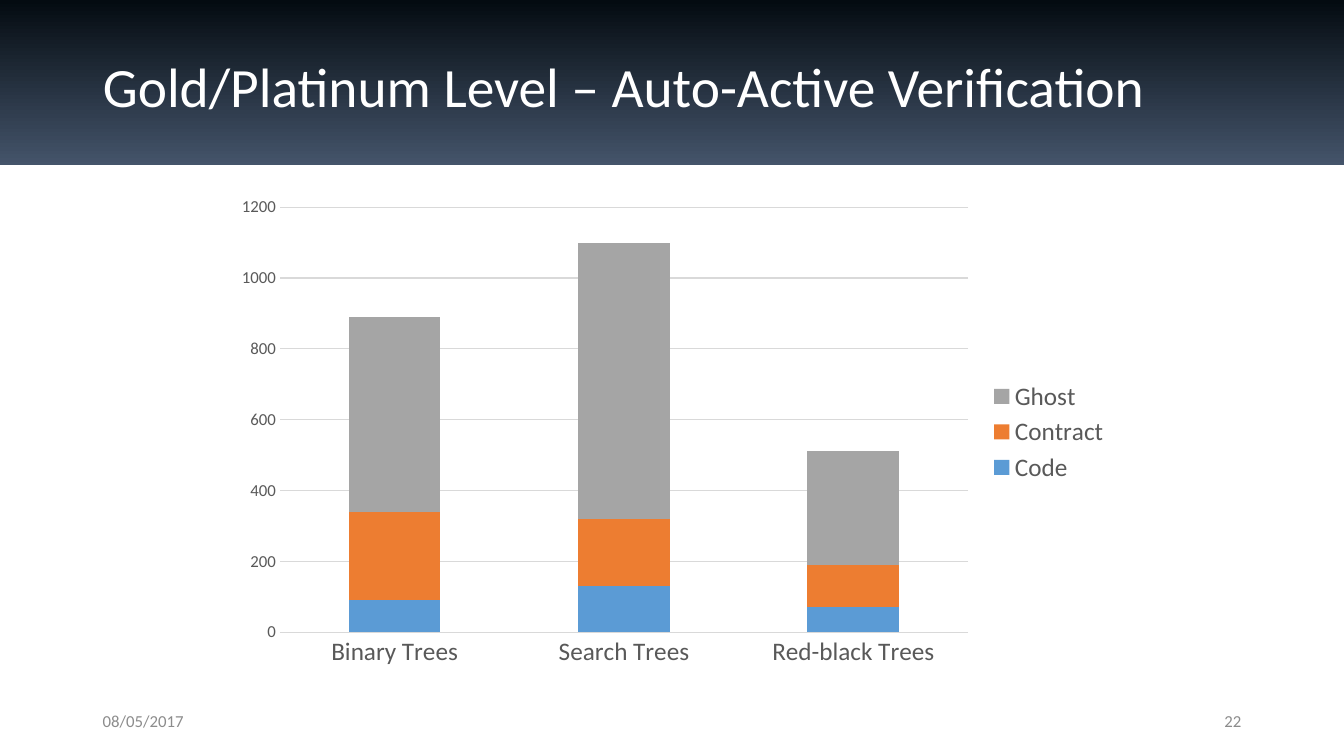
"""Build the slide on code, contract and ghost sizes in auto-active verification."""
from lxml import etree
from pptx import Presentation
from pptx.chart.data import CategoryChartData
from pptx.dml.color import RGBColor
from pptx.enum.chart import XL_CHART_TYPE as ChartType, XL_LEGEND_POSITION as LegendPos
from pptx.enum.chart import XL_TICK_MARK as TickMark
from pptx.enum.shapes import MSO_SHAPE as Shape
from pptx.enum.text import MSO_ANCHOR as Anchor, MSO_AUTO_SIZE as AutoSize, PP_ALIGN as Align
from pptx.util import Inches, Pt

FONT = "Calibri"
WHITE = RGBColor(0xFF, 0xFF, 0xFF)
NIGHT = RGBColor(0x04, 0x0B, 0x11)
SLATE = RGBColor(0x44, 0x54, 0x6A)
FOOTER_GREY = RGBColor(0x8C, 0x8C, 0x8C)
LABEL_GREY = RGBColor(0x59, 0x59, 0x59)
GRID_GREY = RGBColor(0xD9, 0xD9, 0xD9)
BLUE = RGBColor(0x5B, 0x9B, 0xD5)
ORANGE = RGBColor(0xED, 0x7D, 0x31)
GREY = RGBColor(0xA5, 0xA5, 0xA5)

TITLE = "Gold/Platinum Level – Auto-Active Verification"
DATE, PAGE = "08/05/2017", "22"
TREES = ["Binary Trees", "Search Trees", "Red-black Trees"]
LINES = [
    ("Code", BLUE, [90, 130, 70]),
    ("Contract", ORANGE, [250, 190, 120]),
    ("Ghost", GREY, [550, 780, 320]),
]

WIDTH, HEIGHT = Inches(13.33), Inches(7.5)
MARGIN = Inches(0.92)
CONTENT_WIDTH = WIDTH - 2 * MARGIN
BAND_HEIGHT = Inches(1.64)
FOOTER_TOP, FOOTER_WIDTH, FOOTER_HEIGHT = Inches(6.95), Inches(3), Inches(0.4)
CHART_TOP, CHART_WIDTH, CHART_HEIGHT = Inches(1.86), WIDTH * 2 // 3, Inches(4.85)


def style(font, size, color):
    font.name, font.size, font.bold = FONT, Pt(size), False
    font.color.rgb = color


def draw_line(line):
    line.color.rgb, line.width = GRID_GREY, Pt(0.75)


def add_band(slide):
    band = slide.shapes.add_shape(Shape.RECTANGLE, 0, 0, WIDTH, BAND_HEIGHT)
    band.shadow.inherit = False
    band.line.fill.background()
    band.fill.gradient()
    band.fill.gradient_angle = 270
    for stop, position, color in zip(band.fill.gradient_stops, (0, 1), (NIGHT, SLATE)):
        stop.position, stop.color.rgb = position, color
    slide.shapes.element.insert(2, band.element)


def set_title(slide):
    title = slide.shapes.title
    title.left, title.top = MARGIN, Inches(0.4)
    title.width, title.height = CONTENT_WIDTH, Inches(0.97)
    title.text_frame.text = TITLE
    title.text_frame.auto_size = AutoSize.NONE
    title.text_frame.vertical_anchor = Anchor.MIDDLE
    heading = title.text_frame.paragraphs[0]
    heading.alignment, heading.line_spacing = Align.LEFT, 0.9
    style(heading.font, 39.6, WHITE)


def add_footer(slide, text, left, alignment):
    frame = slide.shapes.add_textbox(left, FOOTER_TOP, FOOTER_WIDTH, FOOTER_HEIGHT).text_frame
    frame.word_wrap, frame.vertical_anchor = True, Anchor.MIDDLE
    frame.text = text
    frame.paragraphs[0].alignment = alignment
    style(frame.paragraphs[0].font, 12, FOOTER_GREY)


def add_tree_chart(slide):
    tree_data = CategoryChartData()
    tree_data.categories = TREES
    for name, _, counts in LINES:
        tree_data.add_series(name, counts)
    chart = slide.shapes.add_chart(
        ChartType.COLUMN_STACKED, (WIDTH - CHART_WIDTH) // 2, CHART_TOP,
        CHART_WIDTH, CHART_HEIGHT, tree_data).chart
    chart.has_title = False
    chart.font.name, chart.font.size = FONT, Pt(10)

    chart.has_legend = True
    chart.legend.position = LegendPos.RIGHT
    chart.legend.include_in_layout = False
    style(chart.legend.font, 18, LABEL_GREY)

    trees, counts = chart.category_axis, chart.value_axis
    for axis, size in ((trees, 18), (counts, 12)):
        axis.major_tick_mark = axis.minor_tick_mark = TickMark.NONE
        style(axis.tick_labels.font, size, LABEL_GREY)
    draw_line(trees.format.line)
    counts.format.line.fill.background()
    counts.minimum_scale, counts.maximum_scale, counts.major_unit = 0, 1200, 200
    draw_line(counts.major_gridlines.format.line)

    columns = chart.plots[0]
    columns.gap_width, columns.overlap, columns.vary_by_categories = 150, 100, False
    for part, (_, color, _) in zip(columns.series, LINES):
        part.format.fill.solid()
        part.format.fill.fore_color.rgb = color


def main():
    deck = Presentation()
    deck.slide_width, deck.slide_height = WIDTH, HEIGHT
    slide = deck.slides.add_slide(deck.slide_layouts[5])
    add_band(slide)
    set_title(slide)
    add_footer(slide, DATE, MARGIN, Align.LEFT)
    add_footer(slide, PAGE, WIDTH - MARGIN - FOOTER_WIDTH, Align.RIGHT)
    add_tree_chart(slide)
    deck.save("out.pptx")


if __name__ == "__main__":
    main()
